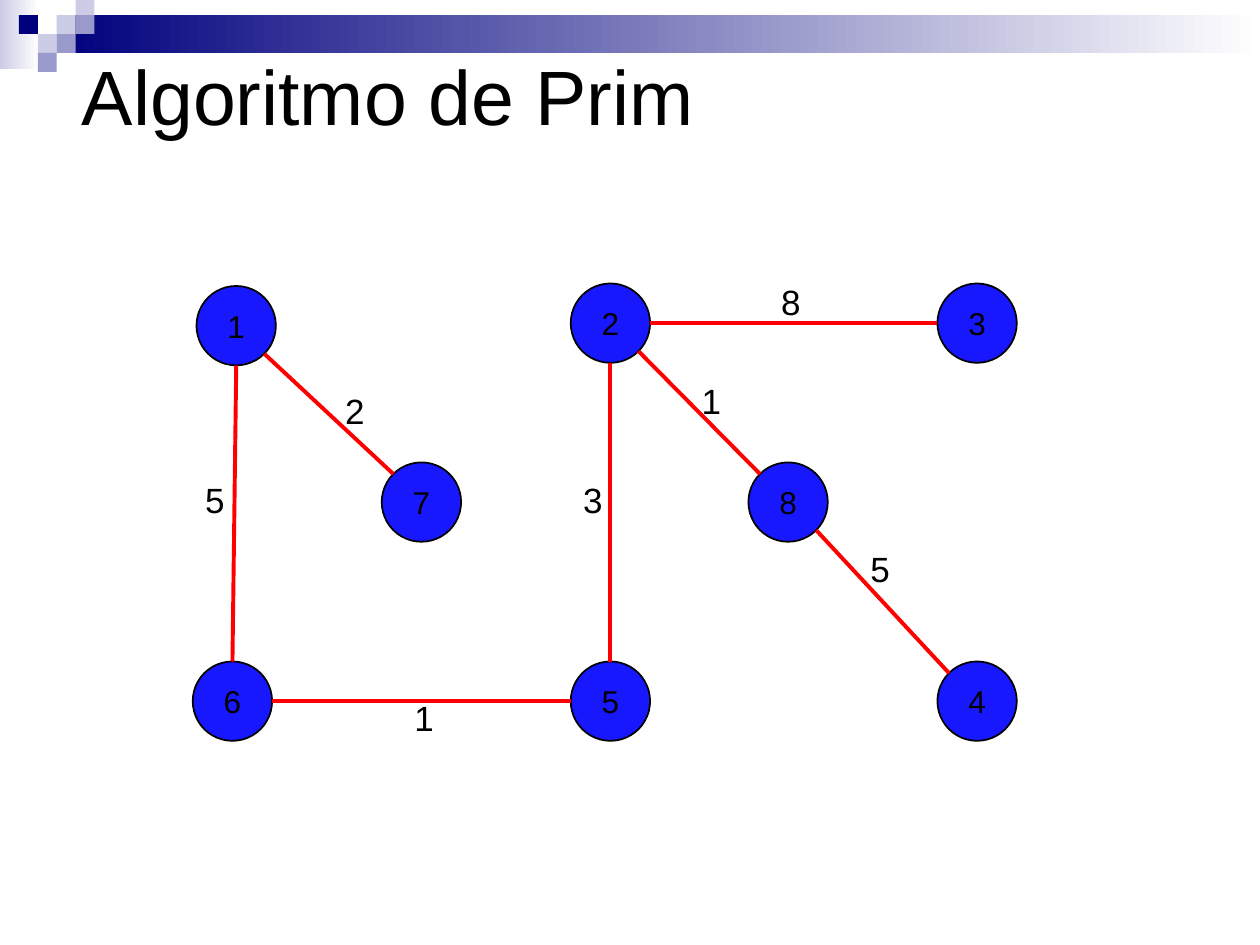
import math
from dataclasses import dataclass
from enum import IntEnum

import lxml.etree
import pptx
import pptx.dml.color
import pptx.enum.shapes
import pptx.enum.text
import pptx.oxml.ns
import pptx.util

Inches = pptx.util.Inches
Color = pptx.dml.color.RGBColor.from_string
ShapeKind = pptx.enum.shapes.MSO_SHAPE
Anchor = pptx.enum.text.MSO_ANCHOR
Align = pptx.enum.text.PP_ALIGN


@dataclass(frozen=True)
class Theme:
    font: str = "Arial"
    title_size: int = 44
    node_size: int = 18
    weight_size: int = 20
    text: str = "000000"
    node: str = "1818FF"
    edge: str = "FF0000"
    navy: str = "00007D"
    violet: str = "9999CC"
    lilac: str = "CCCCE6"
    white: str = "FFFFFF"
    outline_width: float = 1
    edge_width: float = 2.25


class Site(IntEnum):
    """Connection sites of an ellipse, counterclockwise from the top."""
    TOP = 0
    TOP_LEFT = 1
    LEFT = 2
    BOTTOM = 4
    BOTTOM_RIGHT = 5
    RIGHT = 6


@dataclass(frozen=True)
class Node:
    name: str
    left: float
    top: float

    def point(self, site: Site) -> tuple[float, float]:
        angle = site * math.pi / 4
        radius = DIAMETER / 2
        return (self.left + radius - radius * math.sin(angle),
                self.top + radius - radius * math.cos(angle))


@dataclass(frozen=True)
class Edge:
    start: str
    start_site: Site
    end: str
    end_site: Site
    weight: str
    label_left: float
    label_top: float


THEME = Theme()
DIAMETER = 0.63
TILE = 0.15
LABEL_SIZE = (0.38, 0.43)

# Column and row of each mosaic tile, with its colour
TILE_ORIGIN = (0.15, -0.03)
TILES = [
    (2, 1, THEME.lilac), (3, 0, THEME.lilac), (3, 1, THEME.violet),
    (1, 2, THEME.lilac), (0, 1, THEME.navy), (2, 2, THEME.violet),
    (1, 3, THEME.violet),
]

NODES = [
    Node("1", 1.56, 2.27), Node("7", 3.03, 3.67), Node("2", 4.53, 2.25),
    Node("6", 1.53, 5.25), Node("4", 7.44, 5.25), Node("3", 7.44, 2.25),
    Node("5", 4.53, 5.25), Node("8", 5.94, 3.67),
]

EDGES = [
    Edge("1", Site.BOTTOM_RIGHT, "7", Site.TOP_LEFT, "2", 2.64, 3.04),
    Edge("1", Site.BOTTOM, "6", Site.TOP, "5", 1.53, 3.75),
    Edge("6", Site.RIGHT, "5", Site.LEFT, "1", 3.19, 5.48),
    Edge("2", Site.BOTTOM, "5", Site.TOP, "3", 4.53, 3.75),
    Edge("2", Site.RIGHT, "3", Site.LEFT, "8", 6.1, 2.18),
    Edge("2", Site.BOTTOM_RIGHT, "8", Site.TOP_LEFT, "1", 5.47, 2.96),
    Edge("8", Site.BOTTOM_RIGHT, "4", Site.TOP_LEFT, "5", 6.81, 4.3),
]


def write(shape, text: str, size: int, align=Align.LEFT) -> None:
    shape.text_frame.text = text
    para = shape.text_frame.paragraphs[0]
    para.alignment = align
    para.font.name = THEME.font
    para.font.size = pptx.util.Pt(size)
    para.font.color.rgb = Color(THEME.text)


def add_block(page, left: float, top: float, width: float, height: float, *colors: str):
    """Draw a borderless rectangle: one colour is solid, two are a gradient."""
    block = page.shapes.add_shape(
        ShapeKind.RECTANGLE, Inches(left), Inches(top), Inches(width), Inches(height))
    block.shadow.inherit = False
    block.line.fill.background()
    if len(colors) == 1:
        block.fill.solid()
        block.fill.fore_color.rgb = Color(colors[0])
    else:
        block.fill.gradient()
        block.fill.gradient_angle = 0
        for stop, color in zip(block.fill.gradient_stops, colors):
            stop.color.rgb = Color(color)


def add_node(page, node: Node):
    circle = page.shapes.add_shape(
        ShapeKind.OVAL, Inches(node.left), Inches(node.top),
        Inches(DIAMETER), Inches(DIAMETER))
    circle.shadow.inherit = False
    circle.fill.solid()
    circle.fill.fore_color.rgb = Color(THEME.node)
    circle.line.color.rgb = Color(THEME.text)
    circle.line.width = pptx.util.Pt(THEME.outline_width)
    write(circle, node.name, THEME.node_size, Align.CENTER)
    circle.text_frame.word_wrap = False
    circle.text_frame.vertical_anchor = Anchor.MIDDLE
    return circle


def add_edge(page, edge: Edge, nodes: dict[str, Node], circles: dict) -> None:
    ends = [(edge.start, edge.start_site), (edge.end, edge.end_site)]
    points = [Inches(value) for name, site in ends for value in nodes[name].point(site)]
    line = page.shapes.add_connector(pptx.enum.shapes.MSO_CONNECTOR.STRAIGHT, *points)
    line.line.color.rgb = Color(THEME.edge)
    line.line.width = pptx.util.Pt(THEME.edge_width)
    qn = pptx.oxml.ns.qn
    lxml.etree.SubElement(line.element.find(qn("p:spPr")), qn("a:effectLst"))
    # Ellipses have eight sites, so the joins are written directly
    joins = line.element.find(".//" + qn("p:cNvCxnSpPr"))
    for tag, (name, site) in zip(("a:stCxn", "a:endCxn"), ends):
        lxml.etree.SubElement(joins, qn(tag), id=str(circles[name].shape_id),
                              idx=str(int(site)))


def add_weight(page, edge: Edge) -> None:
    box = page.shapes.add_textbox(
        Inches(edge.label_left), Inches(edge.label_top), *map(Inches, LABEL_SIZE))
    write(box, edge.weight, THEME.weight_size)
    box.text_frame.word_wrap = False
    box.text_frame.auto_size = pptx.enum.text.MSO_AUTO_SIZE.SHAPE_TO_FIT_TEXT


def main() -> None:
    deck = pptx.Presentation()
    deck.slide_width, deck.slide_height = Inches(10), Inches(7.5)
    page = deck.slides.add_slide(deck.slide_layouts[5])

    # Header band and mosaic
    add_block(page, 0, -0.03, 0.31, 0.58, THEME.lilac, THEME.white)
    add_block(page, 0.45, 0.12, 9.55, 0.3, THEME.navy, THEME.white)
    for column, row, color in TILES:
        add_block(page, TILE_ORIGIN[0] + column * TILE, TILE_ORIGIN[1] + row * TILE,
                  TILE, TILE, color)

    # Title, brought in front of the header
    title = page.shapes.title
    title.left, title.top = Inches(0.55), Inches(0)
    title.width, title.height = Inches(9), Inches(1.5)
    write(title, "Algoritmo de Prim", THEME.title_size)
    title.text_frame.vertical_anchor = Anchor.MIDDLE
    title.element.getparent().append(title.element)

    # Spanning tree: nodes, edges, weights
    nodes = {node.name: node for node in NODES}
    circles = {node.name: add_node(page, node) for node in NODES}
    for edge in EDGES:
        add_edge(page, edge, nodes, circles)
    for edge in EDGES:
        add_weight(page, edge)

    deck.save("out.pptx")


if __name__ == "__main__":
    main()
